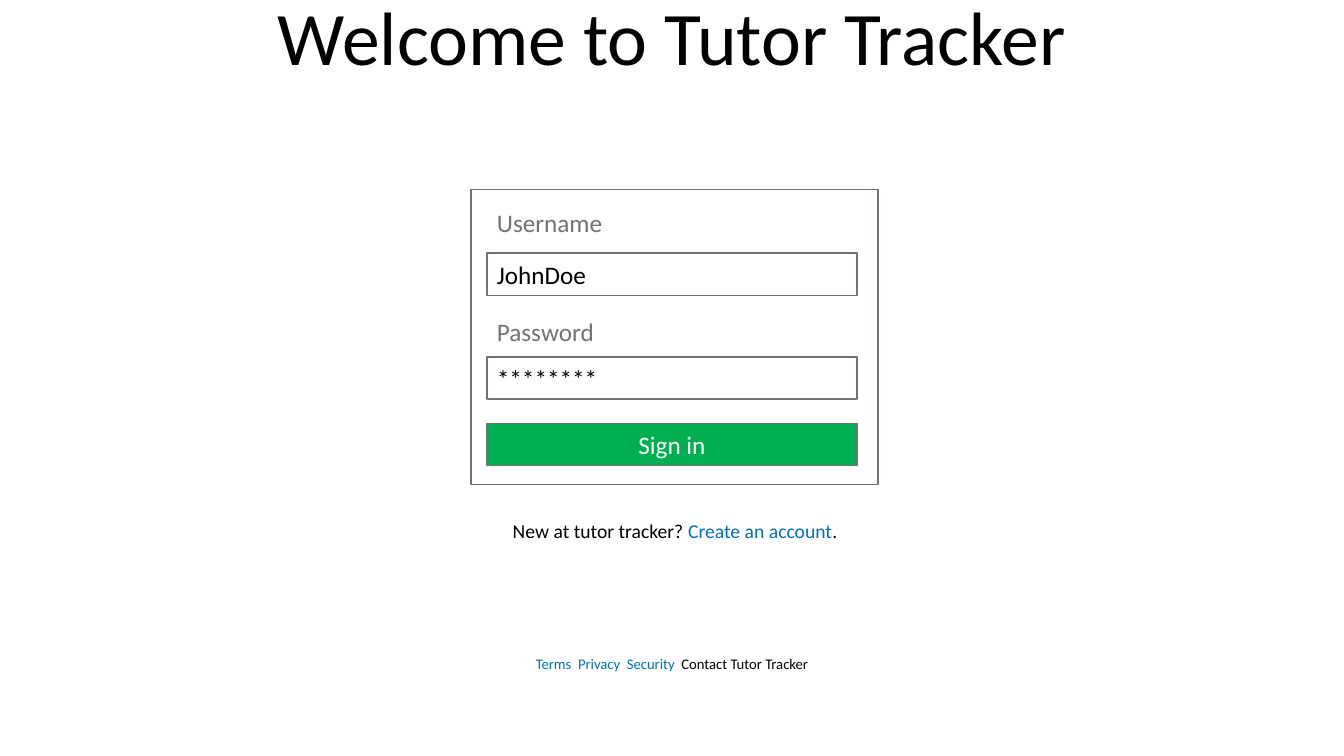
"""Build the sign-in screen slide of Tutor Tracker."""
from dataclasses import dataclass
from typing import Optional

from pptx import Presentation
from pptx.dml.color import RGBColor
from pptx.enum.shapes import MSO_SHAPE
from pptx.enum.text import MSO_ANCHOR, MSO_AUTO_SIZE, PP_ALIGN
from pptx.util import Inches, Pt

BLACK = RGBColor(0x00, 0x00, 0x00)
WHITE = RGBColor(0xFF, 0xFF, 0xFF)
GRAY = RGBColor(0x76, 0x71, 0x71)
GREEN = RGBColor(0x00, 0xB0, 0x50)
BLUE = RGBColor(0x00, 0x70, 0xC0)

FORM_LEFT, ROW_WIDTH, ROW_HEIGHT = 4.83, 3.67, 0.42
LINK_GAP = "240"


@dataclass(frozen=True)
class Span:
    text: str
    color: RGBColor = BLACK
    spacing: Optional[str] = None


@dataclass(frozen=True)
class Row:
    top: float
    spans: tuple[Span, ...]
    line: Optional[RGBColor] = None
    fill: RGBColor = WHITE
    size: float = 18
    align: PP_ALIGN = PP_ALIGN.LEFT
    left: float = FORM_LEFT
    width: float = ROW_WIDTH
    height: float = ROW_HEIGHT


TITLE = Row(0, (Span("Welcome to Tutor Tracker"),), size=54,
            align=PP_ALIGN.CENTER, left=0, width=13.33, height=0.69)
PANEL = Row(1.88, (), line=GRAY, left=4.67, width=4.04, height=2.93)
SIGN_UP = (Span("New at tutor tracker? "), Span("Create an account", BLUE), Span("."))
FOOTER = (
    Span("Terms", BLUE), Span(" ", BLUE, LINK_GAP),
    Span("Privacy", BLUE), Span(" ", BLUE, LINK_GAP),
    Span("Security", BLUE), Span(" ", BLACK, LINK_GAP),
    Span("Contact Tutor Tracker"),
)
ROWS = (
    PANEL,
    Row(2.51, (Span("JohnDoe"),), line=GRAY),
    Row(2, (Span("Username", GRAY),)),
    Row(3.54, (Span("********"),), line=GRAY),
    Row(3.08, (Span("Password", GRAY),)),
    Row(4.2, (Span("Sign in", WHITE),), line=GRAY, fill=GREEN, align=PP_ALIGN.CENTER),
    Row(5.05, SIGN_UP, line=WHITE, size=14, align=PP_ALIGN.CENTER, left=4.86),
    Row(6.37, FOOTER, line=WHITE, size=10.5, align=PP_ALIGN.CENTER),
)


def write_spans(frame, row: Row) -> None:
    """Fill a text frame with the coloured spans of a row."""
    frame_format = {"word_wrap": True, "auto_size": MSO_AUTO_SIZE.NONE,
                    "vertical_anchor": MSO_ANCHOR.MIDDLE}
    for attribute, value in frame_format.items():
        setattr(frame, attribute, value)
    paragraph = frame.paragraphs[0]
    paragraph.alignment = row.align
    for span in row.spans:
        run = paragraph.add_run()
        run.text = span.text
        for attribute, value in {"name": "Calibri", "size": Pt(row.size)}.items():
            setattr(run.font, attribute, value)
        run.font.color.rgb = span.color
        if span.spacing:
            run._r.get_or_add_rPr().set("spc", span.spacing)


def style(box, row: Row) -> None:
    """Apply the fill, outline and text of a row to a shape."""
    box.fill.solid()
    box.fill.fore_color.rgb = row.fill
    if row.line is None:
        box.line.fill.background()
    else:
        box.line.color.rgb = row.line
        box.line.width = Pt(1)
    write_spans(box.text_frame, row)


def place_title(slide, row: Row) -> None:
    """Move and format the title placeholder."""
    heading = slide.shapes.title
    for attribute in ("left", "top", "width", "height"):
        setattr(heading, attribute, Inches(getattr(row, attribute)))
    style(heading, row)


def add_row(slide, row: Row) -> None:
    """Draw one rectangle of the sign-in screen."""
    box = slide.shapes.add_shape(
        MSO_SHAPE.RECTANGLE, Inches(row.left), Inches(row.top),
        Inches(row.width), Inches(row.height))
    box.shadow.inherit = False
    style(box, row)


def main() -> None:
    """Build and save the slide."""
    deck = Presentation()
    deck.slide_width, deck.slide_height = Inches(13.33), Inches(7.5)
    slide = deck.slides.add_slide(deck.slide_layouts.get_by_name("Title Only"))
    place_title(slide, TITLE)
    for row in ROWS:
        add_row(slide, row)
    deck.save("out.pptx")


if __name__ == "__main__":
    main()
